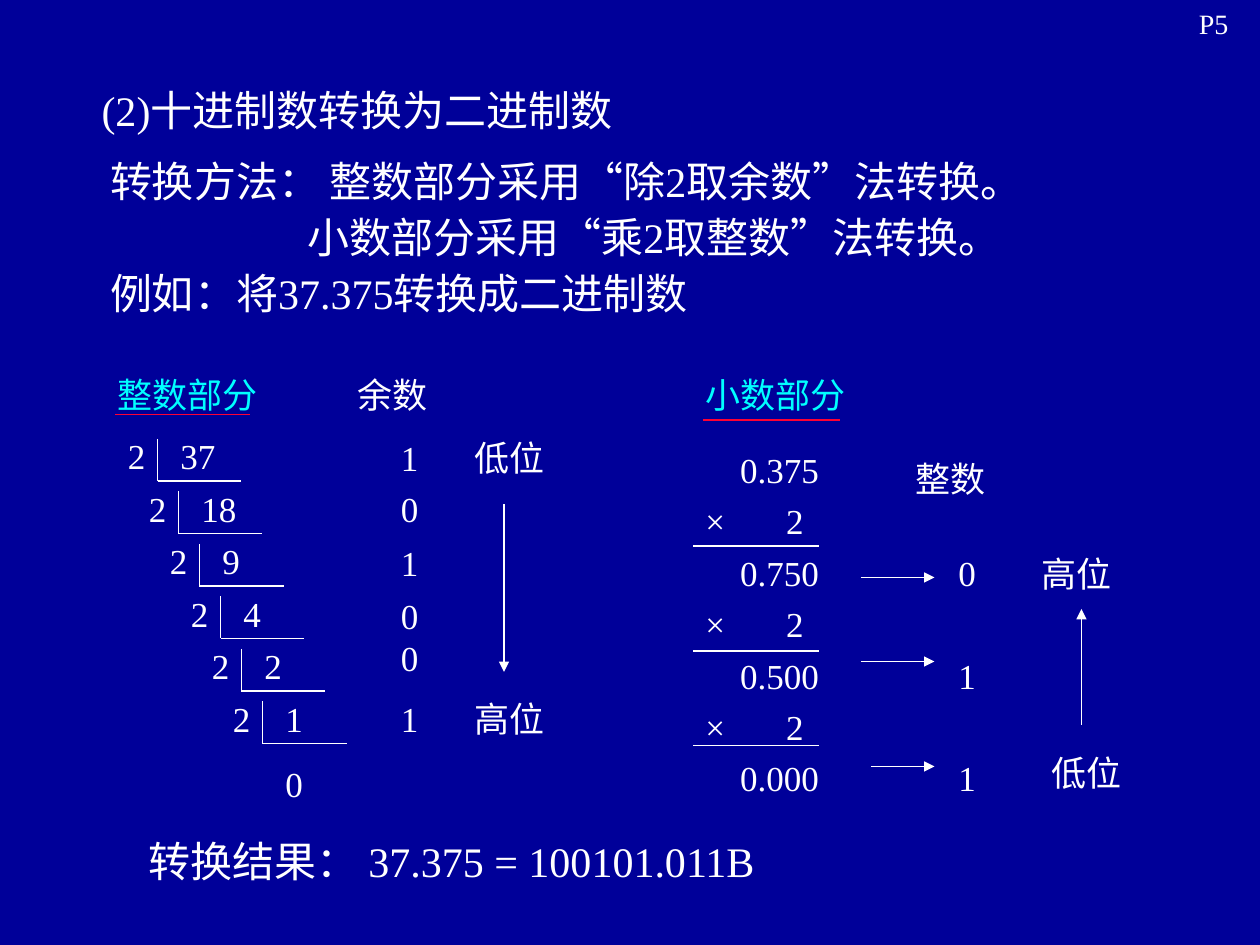
import pptx
import pptx.dml.color
import pptx.enum.shapes
import pptx.enum.text
import pptx.oxml.ns
import pptx.util
import lxml.etree

PX = 7620
COLORS = {"back": "000099", "text": "FFFFFF", "head": "00FFFF", "rule": "FF0033"}
FONT = "Times New Roman"


class Board:
    """Holds the style and the current slide, and draws each kind of element."""

    def __init__(self, prs):
        self.s = prs.slides.add_slide(prs.slide_layouts[6])
        fill = self.s.background.fill
        fill.solid()
        fill.fore_color.rgb = self.color("back")

    def color(self, name):
        return pptx.dml.color.RGBColor.from_string(COLORS[name])

    def child(self, parent, tag, **attrs):
        el = lxml.etree.SubElement(parent, pptx.oxml.ns.qn(tag))
        for key, value in attrs.items():
            el.set(key, value)

    def box(self, x, y, w, h):
        tf = self.s.shapes.add_textbox(x * PX, y * PX, w * PX, h * PX).text_frame
        tf.word_wrap = True
        return tf

    def run(self, p, text, size, name="text"):
        r = p.add_run()
        r.text = text
        r.font.size = pptx.util.Pt(size)
        r.font.name = FONT
        r.font.color.rgb = self.color(name)

    def label(self, text, x, y, w, h=53, size=20, name="text"):
        self.run(self.box(x, y, w, h).paragraphs[0], text, size, name)

    def line(self, x1, y1, x2, y2, name="text", arrow=False):
        sp = self.s.shapes.add_connector(
            pptx.enum.shapes.MSO_CONNECTOR.STRAIGHT, x1 * PX, y1 * PX, x2 * PX, y2 * PX)
        sp.line.width = pptx.util.Pt(0.75)
        sp.line.color.rgb = self.color(name)
        if arrow:
            self.child(sp.line._get_or_add_ln(), "a:tailEnd", type="triangle")
        self.child(sp._element.spPr, "a:effectLst")


def intro(board):
    tf = board.box(60, 80, 560, 50)
    tf.vertical_anchor = pptx.enum.text.MSO_ANCHOR.MIDDLE
    p = tf.paragraphs[0]
    p.alignment = pptx.enum.text.PP_ALIGN.CENTER
    board.run(p, "(2)十进制数转换为二进制数", 24)

    tf = board.box(75, 148, 1020, 170)
    method = [
        ("转换方法： 整数部分采用“除2取余数”法转换。", 18),
        ("小数部分采用“乘2取整数”法转换。", 206),
        ("例如：将37.375转换成二进制数", 18),
    ]
    for i, (text, margin) in enumerate(method):
        p = tf.add_paragraph() if i else tf.paragraphs[0]
        pPr = p._p.get_or_add_pPr()
        pPr.set("marL", str(margin * PX))
        pPr.set("indent", "0")
        p.line_spacing = 0.9
        if i:
            p.space_before = pptx.util.Pt(6)
        board.run(p, text, 24)

    board.label("转换结果： 37.375 = 100101.011B", 130, 790, 730, 60, 24)
    board.label("P5", 1130, 0, 70, 44, 16)


def integer_part(board):
    board.label("整数部分", 100, 350, 200, name="head")
    board.label("余数", 329, 350, 110)
    board.line(110, 395, 238, 395, "rule")

    for i, dividend in enumerate([37, 18, 9, 4, 2, 1]):
        x, y = 150 + 20 * i, 418 + 50 * i
        board.line(x, y, x, y + 40)
        board.line(x, y + 40, x + 80, y + 40)
        board.label("2", x - 40, y - 10, 60)
        board.label(str(dividend), x + 10, y - 10, 80)
    board.label("0", 260, 720, 80)

    for digit, y in zip("101001", [410, 458, 510, 560, 600, 658]):
        board.label(digit, 370, y, 50)
    board.label("低位", 440, 410, 110)
    board.label("高位", 440, 658, 110)
    board.line(480, 480, 480, 640, arrow=True)


def fraction_part(board):
    board.label("小数部分", 660, 350, 220, name="head")
    board.line(670, 400, 800, 400, "rule")

    top, step = 421, 49
    board.label("0.375", 693, top, 100)
    steps = [("0.750", "0"), ("0.500", "1"), ("0.000", "1")]
    for i, (product, digit) in enumerate(steps):
        y = top + step * (2 * i + 1)
        board.label("×", 660, y, 50)
        board.label("2", 737, y, 50)
        board.label(product, 693, y + step, 100)
        board.label(digit, 901, y + step, 50)

    for y in (520, 620, 710):
        board.line(660, y, 780, y)
    for x, y in [(820, 550), (820, 630), (830, 730)]:
        board.line(x, y, 890, y, arrow=True)

    board.label("整数", 860, 430, 110)
    board.label("高位", 980, 520, 100)
    board.label("低位", 990, 710, 120)
    board.line(1030, 690, 1030, 580, arrow=True)


def main():
    prs = pptx.Presentation()
    prs.slide_width, prs.slide_height = 1200 * PX, 900 * PX
    board = Board(prs)
    intro(board)
    fraction_part(board)
    integer_part(board)
    prs.save("out.pptx")


if __name__ == "__main__":
    main()
